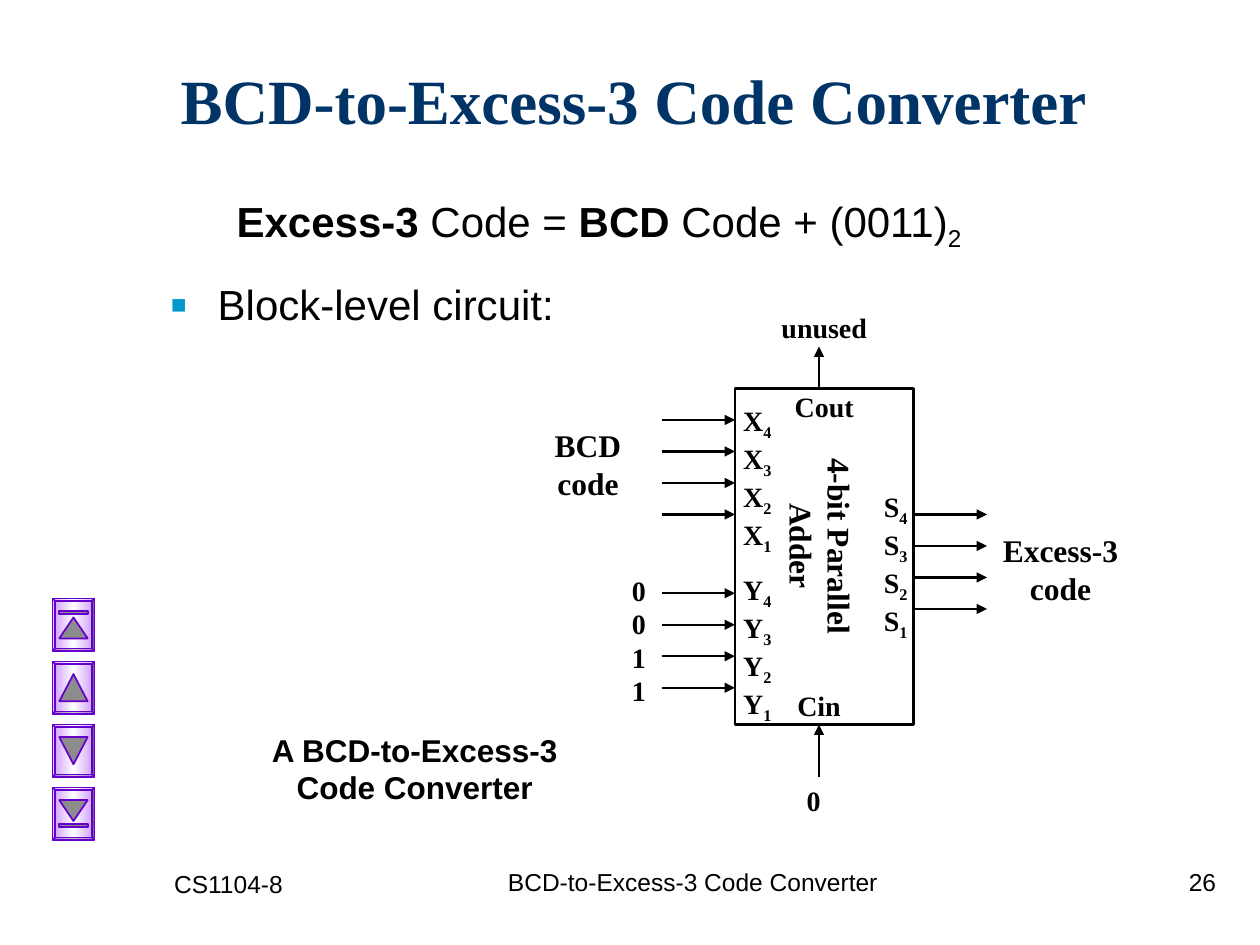
from lxml.etree import SubElement
from pptx import Presentation
from pptx.dml.color import RGBColor
from pptx.enum.shapes import MSO_CONNECTOR, MSO_SHAPE
from pptx.enum.text import MSO_ANCHOR, MSO_AUTO_SIZE, PP_ALIGN
from pptx.oxml.ns import qn
from pptx.util import Inches, Pt

COLORS = {"ink": "000000", "title": "003366", "bullet": "0099CC",
          "violet": "6600CC", "lilac": "CC99FF", "white": "FFFFFF", "icon": "8C8C8C"}
SERIF, SANS = "Times New Roman", "Arial"
LEFT, CENTER, RIGHT = PP_ALIGN.LEFT, PP_ALIGN.CENTER, PP_ALIGN.RIGHT


def color(name):
    return RGBColor.from_string(COLORS[name])


def grid(*cells):
    """Grid of 120 columns by 90 rows, twelve to the inch."""
    return [Inches(c / 12) for c in cells]


class Board:
    """Holds the style, the current slide and the shapes being added to."""

    def __init__(self, slide):
        self.slide = slide
        self.shapes = slide.shapes

    def start_group(self):
        self.shapes = self.slide.shapes.add_group_shape().shapes

    def end_group(self):
        self.shapes = self.slide.shapes

    def run(self, p, text, size, font, bold=False, sub=False, ink="ink"):
        r = p.add_run()
        r.text = text
        r.font.size, r.font.name, r.font.bold = Pt(size), font, bold
        r.font.color.rgb = color(ink)
        if sub:
            r.font._element.set("baseline", "-25000")

    def title(self, box, text):
        sp = self.slide.shapes.title
        sp.left, sp.top, sp.width, sp.height = grid(*box)
        tf = sp.text_frame
        tf.auto_size = MSO_AUTO_SIZE.NONE
        tf.vertical_anchor = MSO_ANCHOR.MIDDLE
        p = tf.paragraphs[0]
        p.alignment = LEFT
        self.run(p, text, 36, SERIF, True, ink="title")

    def text(self, box, lines, size=16, font=SERIF, bold=True, align=CENTER, rotation=0):
        """Each line is a string, or a list of (text, bold, subscript)."""
        sp = self.shapes.add_textbox(*grid(*box))
        sp.rotation = rotation
        tf = sp.text_frame
        tf.word_wrap = True
        for i, line in enumerate(lines):
            p = tf.add_paragraph() if i else tf.paragraphs[0]
            p.alignment = align
            runs = [(line, bold, False)] if isinstance(line, str) else line
            for words, strong, sub in runs:
                self.run(p, words, size, font, strong, sub)
        return tf

    def indent(self, p, margin, first=0, bullet=None):
        pPr = p._p.get_or_add_pPr()
        pPr.set("marL", str(Inches(margin)))
        pPr.set("indent", str(Inches(first)))
        if bullet:
            clr = SubElement(pPr, qn("a:buClr"))
            SubElement(clr, qn("a:srgbClr"), val=COLORS["bullet"])
            SubElement(pPr, qn("a:buSzPct"), val="120000")
            SubElement(pPr, qn("a:buFont"), typeface=SANS)
            SubElement(pPr, qn("a:buChar"), char=bullet)

    def pins(self, box, letter):
        lines = [[(letter, True, False), (str(n), True, True)] for n in (4, 3, 2, 1)]
        self.text(box, lines, align=LEFT)

    def block(self, box):
        sp = self.shapes.add_shape(MSO_SHAPE.RECTANGLE, *grid(*box))
        sp.shadow.inherit = False
        sp.fill.background()
        sp.line.color.rgb = color("ink")
        sp.line.width = Pt(1.5)

    def arrow(self, x1, y1, x2, y2):
        cxn = self.shapes.add_connector(MSO_CONNECTOR.STRAIGHT, *grid(x1, y1, x2, y2))
        cxn.line.color.rgb = color("ink")
        cxn.line.width = Pt(1.25)
        SubElement(cxn.line._get_or_add_ln(), qn("a:tailEnd"), type="triangle")
        SubElement(cxn._element.spPr, qn("a:effectLst"))

    def arrows(self, x1, x2, top):
        for i in range(4):
            self.arrow(x1, top + 3 * i, x2, top + 3 * i)

    def outline(self, sp):
        sp.shadow.inherit = False
        sp.line.color.rgb = color("violet")
        sp.line.width = Pt(1)

    def polygon(self, points):
        pts = [tuple(grid(*pt)) for pt in points]
        fb = self.shapes.build_freeform(*pts[0])
        fb.add_line_segments(pts[1:], close=True)
        sp = fb.convert_to_shape()
        sp.fill.solid()
        sp.fill.fore_color.rgb = color("icon")
        self.outline(sp)

    def button(self, x, y, down, bar):
        """Bevelled key, 4 by 5 cells, with a triangle and perhaps a stop bar."""
        sp = self.shapes.add_shape(MSO_SHAPE.BEVEL, *grid(x, y, 4, 5))
        sp.adjustments[0] = 0.06
        sp.fill.gradient()
        sp.fill.gradient_angle = 0
        gs_lst = sp.fill._fill._gradFill.find(qn("a:gsLst"))
        for gs in list(gs_lst):
            gs_lst.remove(gs)
        for pos, name in ((0, "lilac"), (50000, "white"), (100000, "lilac")):
            gs = SubElement(gs_lst, qn("a:gs"), pos=str(pos))
            SubElement(gs, qn("a:srgbClr"), val=COLORS[name])
        self.outline(sp)

        def place(*points):
            return [(x + px, y + (5 - py if down else py)) for px, py in points]

        apex = 1.8 if bar else 1.2
        self.polygon(place((2, apex), (3.35, 3.8), (0.65, 3.8)))
        if bar:
            self.polygon(place((0.65, 1.2), (3.35, 1.2), (3.35, 1.5), (0.65, 1.5)))


def main():
    prs = Presentation()
    prs.slide_width, prs.slide_height = Inches(10), Inches(7.5)
    board = Board(prs.slides.add_slide(prs.slide_layouts[5]))

    # Title and body
    board.title((16, 2, 102, 15), "BCD-to-Excess-3 Code Converter")
    formula = [("Excess-3", True, False), (" Code = ", False, False),
               ("BCD", True, False), (" Code + (0011)", False, False), ("2", False, True)]
    tf = board.text((15, 18, 102, 14), [formula, "Block-level circuit:"],
                    24, SANS, False, LEFT)
    board.indent(tf.paragraphs[0], 0.53)
    tf.paragraphs[1].space_before = Pt(15)
    board.indent(tf.paragraphs[1], 0.38, -0.38, "▪")

    # Adder block and its pins
    board.start_group()
    board.block((70, 37, 17, 32))
    board.text((68.2, 47.8, 20, 8.4), ["4-bit Parallel Adder"], 18, rotation=90)
    for box, letter in (((69.6, 37.8, 6, 15.8), "X"), ((69.6, 53.9, 6, 15.8), "Y"),
                        ((83, 46, 6, 15.8), "S")):
        board.pins(box, letter)

    # Input, output and carry arrows
    for x1, x2, top in ((63, 70, 40), (63, 70, 56.5), (87, 94, 49)):
        board.arrows(x1, x2, top)
    board.arrow(78, 74, 78, 69)
    board.arrow(78, 37, 78, 33)

    # Signal labels
    board.text((59, 54, 4, 14), list("0011"), align=LEFT)
    board.text((51, 40, 10, 8.4), ["BCD", "code"], 18)
    board.text((94, 50, 14, 8.4), ["Excess-3", "code"], 18)
    for box, label in (((73, 29, 11, 4.4), "unused"), ((75, 74, 5, 4.4), "0"),
                       ((74, 65, 8, 4.4), "Cin"), ((74, 36.5, 9, 4.4), "Cout")):
        board.text(box, [label])
    board.end_group()
    board.text((22, 69, 35, 8.4), ["A BCD-to-Excess-3 Code Converter"], 18, SANS)

    # Navigation buttons: first, previous, next, last
    for i, (down, bar) in enumerate(((False, True), (False, False),
                                     (True, False), (True, True))):
        board.button(5, 57 + 6 * i, down, bar)

    # Footer
    for box, words, align in (((47, 82, 38, 6), "BCD-to-Excess-3 Code Converter", CENTER),
                              ((92, 82, 25, 6), "26", RIGHT),
                              ((15.4, 82.2, 25, 6), "CS1104-8", LEFT)):
        board.text(box, [words], 14, SANS, False, align)

    prs.save("out.pptx")


if __name__ == "__main__":
    main()
